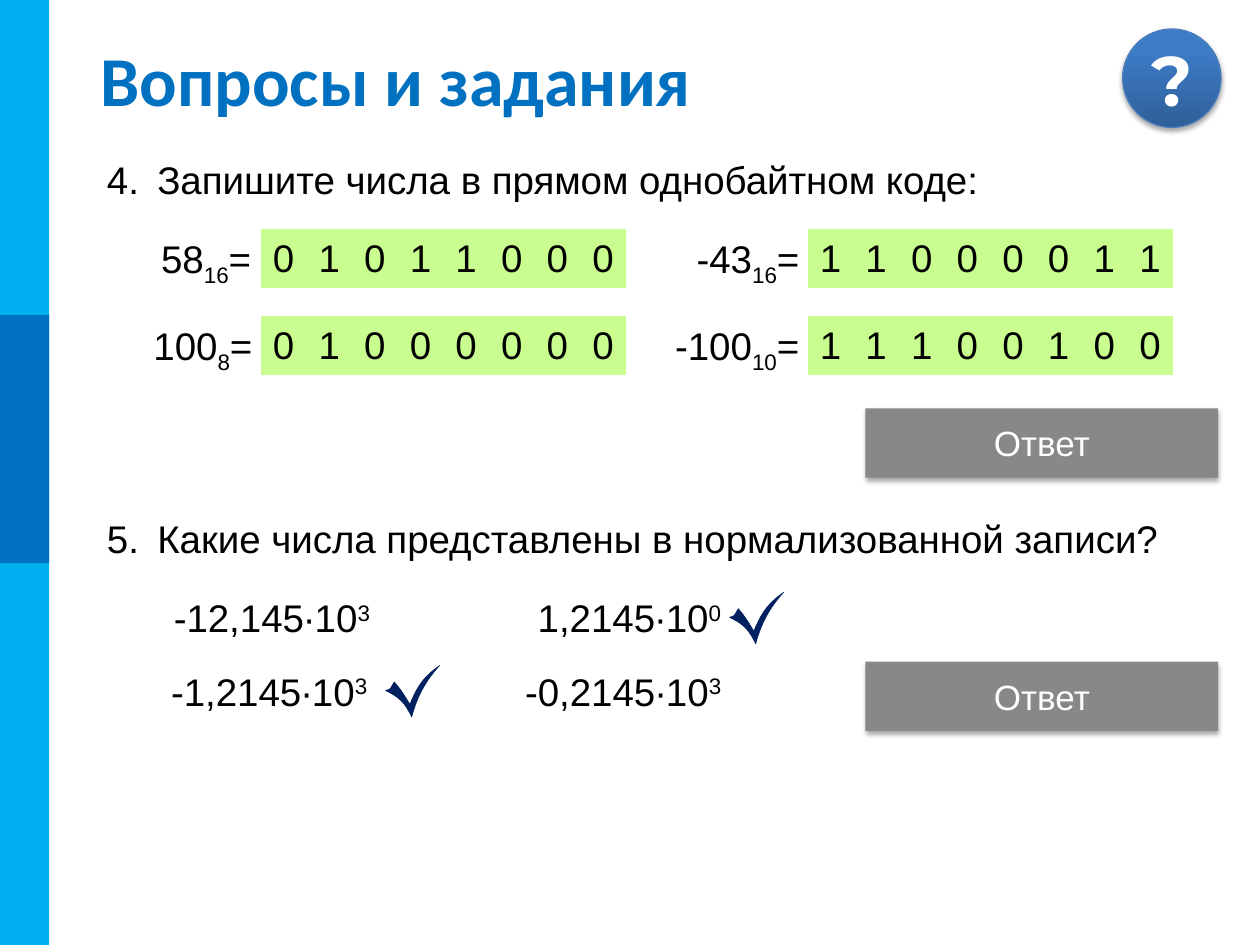
from lxml import etree
from pptx import Presentation
from pptx import util as u
from pptx.dml.color import RGBColor
from pptx.enum import shapes, text
from pptx.oxml import parse_xml
from pptx.oxml.ns import nsdecls, qn

COLORS = {
    "sky": "00B0F0", "blue": "0070C0", "navy": "002060", "lime": "CAFD8F",
    "gray": "888888", "rim": "4B7EBC", "deep": "2F5F99", "bright": "3D7CC7",
    "black": "000000", "white": "FFFFFF",
}
PLAIN_TABLE = "{2D5ABB26-0587-4C30-8999-92F81FD0307C}"
SHADOW = (f'<a:effectLst {nsdecls("a")}><a:outerShdw blurRad="39370" dist="22860" dir="5400000" '
          'rotWithShape="0"><a:srgbClr val="000000"><a:alpha val="35000"/></a:srgbClr>'
          '</a:outerShdw></a:effectLst>')


def color(name):
    """Return the palette colour as RGB."""
    return RGBColor.from_string(COLORS[name])


def write(frame, *parts, size=22, font="Arial", ink="black", bold=False, align="LEFT", number=None):
    """Fill a frame with one paragraph; a part is text or a (text, baseline percent) pair."""
    para = frame.paragraphs[0]
    para.alignment = getattr(text.PP_ALIGN, align)
    for part in parts:
        words, shift = (part, 0) if isinstance(part, str) else part
        span = para.add_run()
        span.text = words
        span.font.size, span.font.name, span.font.bold = u.Pt(size), font, bold
        span.font.color.rgb = color(ink)
        if shift:
            span._r.get_or_add_rPr().set("baseline", str(shift * 1000))
    if number:
        props = para._p.get_or_add_pPr()
        props.set("marL", str(u.Pt(28.8)))
        props.set("indent", str(-u.Pt(28.8)))
        etree.SubElement(props, qn("a:buAutoNum"), type="arabicPeriod", startAt=str(number))


def curve(start, first, second, end, steps=10):
    """Return points along a cubic curve, without its start."""
    points = []
    for step in range(1, steps + 1):
        t = step / steps
        weights = ((1 - t) ** 3, 3 * t * (1 - t) ** 2, 3 * t * t * (1 - t), t ** 3)
        points.append(tuple(sum(w * p[axis] for w, p in zip(weights, (start, first, second, end)))
                            for axis in (0, 1)))
    return points


class SlideMaker:
    """Holds the style and the current slide."""

    def __init__(self, deck):
        self.page = deck.slides.add_slide(deck.slide_layouts[6])

    def shape(self, kind, left, top, width, height, fill, shadow=False):
        """Add a filled preset shape without a line."""
        box = self.page.shapes.add_shape(kind, *map(u.Pt, (left, top, width, height)))
        box.shadow.inherit = False
        box.fill.solid()
        box.fill.fore_color.rgb = color(fill)
        box.line.fill.background()
        if shadow:
            props = box._element.spPr
            props.replace(props.find(qn("a:effectLst")), parse_xml(SHADOW))
        return box

    def bar(self, top, height, fill):
        """Add a stripe on the left edge."""
        self.shape(shapes.MSO_SHAPE.RECTANGLE, 0, top, 28.1, height, fill)

    def badge(self, left, top, size, sign):
        """Add a round gradient badge."""
        box = self.shape(shapes.MSO_SHAPE.OVAL, left, top, size, size, "bright", shadow=True)
        box.fill.gradient()
        box.fill.gradient_angle = 90
        for stop, place, name in zip(box.fill.gradient_stops, (0, 0.8), ("deep", "bright")):
            stop.position = place
            stop.color.rgb = color(name)
        box.line.color.rgb = color("rim")
        box.line.width = u.Pt(0.75)
        box.text_frame.word_wrap = False
        write(box.text_frame, sign, size=40, font="Montserrat", ink="white", bold=True, align="CENTER")

    def button(self, top, label):
        """Add a grey button at the right."""
        box = self.shape(shapes.MSO_SHAPE.RECTANGLE, 494.6, top, 201.6, 39.6, "gray", shadow=True)
        write(box.text_frame, label, size=20, ink="white", align="CENTER")

    def label(self, left, top, width, height, *parts, wrap=False, anchor="TOP", **style):
        """Add a text box."""
        box = self.page.shapes.add_textbox(*map(u.Pt, (left, top, width, height)))
        box.text_frame.word_wrap = wrap
        box.text_frame.vertical_anchor = getattr(text.MSO_ANCHOR, anchor)
        write(box.text_frame, *parts, **style)

    def bits(self, left, top, digits):
        """Add a one-row table of binary digits."""
        frame = self.page.shapes.add_table(1, len(digits), *map(u.Pt, (left, top, 208.8, 33.7)))
        table = frame.table
        table.first_row = table.horz_banding = False
        table._tbl.tblPr.find(qn("a:tableStyleId")).text = PLAIN_TABLE
        for cell, digit in zip(table.iter_cells(), digits):
            cell.margin_left = cell.margin_right = u.Pt(3.6)
            cell.vertical_anchor = text.MSO_ANCHOR.MIDDLE
            cell.fill.solid()
            cell.fill.fore_color.rgb = color("lime")
            write(cell.text_frame, digit, align="CENTER")

    def tick(self, left, top):
        """Add a check mark with curved sides."""
        start, notch, foot, tip, bottom = (0, 14.4), (5, 9.4), (13.9, 22.3), (31, 0), (15, 29.5)
        points = [start, *curve(start, (1, 13.7), (1.4, 14.4), (2.9, 13)), notch,
                  *curve(notch, (8.3, 13), (11.5, 18), foot),
                  *curve(foot, (18, 12.2), (21.6, 6.5), tip),
                  *curve(tip, (22.3, 9.7), (18, 18.4), bottom),
                  *curve(bottom, (10.4, 20.2), (7.2, 18), start)]
        points = [(u.Pt(left + x), u.Pt(top + y)) for x, y in points]
        builder = self.page.shapes.build_freeform(*points[0])
        builder.add_line_segments(points[1:], close=True)
        mark = builder.convert_to_shape()
        mark.shadow.inherit = False
        mark.fill.solid()
        mark.fill.fore_color.rgb = mark.line.color.rgb = color("navy")
        mark.line.width = u.Pt(0.25)


def main():
    """Build the slide and save it."""
    deck = Presentation()
    deck.slide_width, deck.slide_height = u.Pt(720), u.Pt(540)
    maker = SlideMaker(deck)
    maker.bar(0, 540, "sky")
    maker.bar(180, 141.8, "blue")
    maker.badge(641.5, 16.6, 56.2, "?")
    maker.label(50.4, 21.6, 649.4, 46.1, "Вопросы и задания", wrap=True, anchor="MIDDLE",
                size=40, font="Calibri", ink="blue", bold=True)

    questions = ((4, 85.7, "Запишите числа в прямом однобайтном коде:"),
                 (5, 290.9, "Какие числа представлены в нормализованной записи?"))
    for number, top, question in questions:
        maker.label(54, top, 646.6, 33.8, question, wrap=True, number=number)

    upper, lower, left, right = 131, 180.7, 149, 461.5
    codes = ((85, upper, 68.4, "58", "16", left, "01011000"),
             (80.6, lower, 72.7, "100", "8", left, "01000000"),
             (391, upper, 76.3, "-43", "16", right, "11000011"),
             (378.7, lower, 88.6, "-100", "10", right, "11100100"))
    for start, top, width, value, base, table_left, digits in codes:
        maker.label(start, top, width, 33.8, value, (base, -25), "=")
        maker.bits(table_left, top, digits)

    upper, lower = 336.2, 378
    numbers = ((92.2, upper, 133.2, "-12,145∙10", "3"), (90.7, lower, 128.9, "-1,2145∙10", "3"),
               (300.2, upper, 121.7, "1,2145∙10", "0"), (293, lower, 128.9, "-0,2145∙10", "3"))
    for start, top, width, mantissa, power in numbers:
        maker.label(start, top, width, 33.8, mantissa, (power, 30))
    maker.tick(220.3, 380.2)
    maker.tick(416.9, 338.4)

    for top in (233.3, 378):
        maker.button(top, "Ответ")
    deck.save("out.pptx")


if __name__ == "__main__":
    main()
